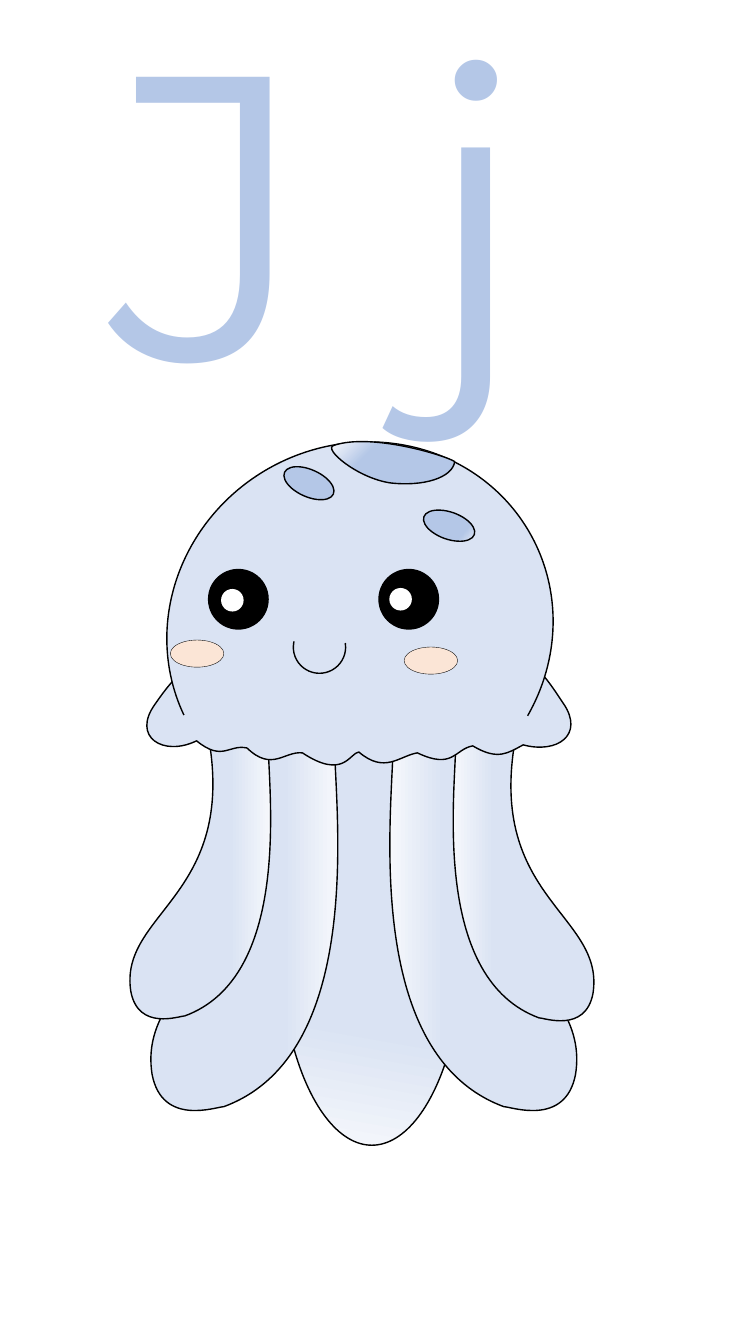
from pptx import Presentation
from pptx.dml.color import RGBColor
from pptx.enum import shapes, text
from pptx.oxml import ns
from pptx.util import Pt

COLORS = {
    "letters": "B4C7E7",
    "spot": "B4C7E7",
    "body": "DAE3F3",
    "shine": "F6F8FC",
    "cheek": "FBE5D6",
    "ink": "000000",
    "glint": "FFFFFF",
}
OVAL = shapes.MSO_SHAPE.OVAL
ARC = shapes.MSO_SHAPE.ARC

# Outlines: a start point, then three points for each Bézier curve.
# The tentacle is in percent of its box, the others in points.
TENTACLE = [
    (43.5, 3.5),
    (43.5, 1.3), (40.3, 0), (36.6, 0),
    (36.6, 0), (8.6, 0), (8.6, 0),
    (4.8, 0), (2.2, 1.3), (2.2, 3.5),
    (1.1, 23.1), (-12.9, 85.3), (61.3, 98.9),
    (65.1, 98.9), (94.1, 104.3), (99.5, 90.3),
    (108.1, 63), (27.4, 57.1), (43.5, 3.5),
]
SKIRT = [
    (157, 0.7),
    (53.3, 2), (23, 40), (5.8, 65),
    (-11.5, 88.6), (11.5, 103), (35.3, 91.4),
    (54, 106.6), (58.3, 93.6), (71.3, 96.5),
    (89.3, 113.8), (97.9, 98.6), (110.9, 100),
    (140.4, 119.5), (144.7, 100), (151.2, 99.4),
    (169.9, 115.2), (180, 102.2), (193, 100),
    (218.9, 112.3), (219.6, 97.2), (232.6, 95),
    (250.6, 105.8), (257.8, 100), (268.6, 94.3),
    (293, 100.8), (312.5, 87.1), (297.4, 64.8),
    (282.2, 42.5), (259.9, 0), (157, 0.7),
]
CROWN_SPOT = [
    (88.6, 12.2),
    (82.1, 7.9), (28.8, -8.6), (2.2, 0.7),
    (-5.8, 2.9), (18.7, 23.8), (42.5, 27.4),
    (66.2, 30.2), (87.1, 23.8), (88.6, 12.2),
]


def rgb(name):
    return RGBColor.from_string(COLORS[name])


def place(shape, box):
    shape.left, shape.top, shape.width, shape.height = (Pt(length) for length in box)


def paint(shape, fill, line="ink", width=1, shine_angle=None):
    """Style a shape; shine_angle adds a light edge, counted anticlockwise."""
    shape.shadow.inherit = False
    if fill is None:
        shape.fill.background()
    elif shine_angle is None:
        shape.fill.solid()
        shape.fill.fore_color.rgb = rgb(fill)
    else:
        shape.fill.gradient()
        shape.fill.gradient_angle = shine_angle
        stops = shape.fill.gradient_stops
        for stop, color, position in zip(stops, ("shine", fill), (0, 0.29)):
            stop.color.rgb = rgb(color)
            stop.position = position
    if line is None:
        shape.line.fill.background()
    else:
        shape.line.color.rgb = rgb(line)
        shape.line.width = Pt(width)


def add_preset(page, kind, box, fill, rotation=0, angles=(), **style):
    shape = page.shapes.add_shape(kind, *(Pt(length) for length in box))
    shape.rotation = rotation
    for index, angle in enumerate(angles):
        shape.adjustments[index] = angle
    paint(shape, fill, **style)


def bend(outline, width, height, shift_x, shift_y):
    """Turn each three line segments of an outline into one Bézier curve."""
    outline.set("w", str(width))
    outline.set("h", str(height))
    for point in outline.iter(ns.qn("a:pt")):
        point.set("x", str(int(point.get("x")) + shift_x))
        point.set("y", str(int(point.get("y")) + shift_y))
    segments = outline.findall(ns.qn("a:lnTo"))
    for first in range(0, len(segments), 3):
        curve = segments[first]
        curve.tag = ns.qn("a:cubicBezTo")
        for segment in segments[first + 1:first + 3]:
            curve.append(segment[0])
            outline.remove(segment)


def add_outline(page, box, points, fill, **style):
    """Draw a closed chain of Bézier curves, its points set off from the box corner."""
    left, top = box[:2]
    points = [(Pt(left + x), Pt(top + y)) for x, y in points]
    builder = page.shapes.build_freeform(*points[0], scale=1.0)
    builder.add_line_segments(points[1:], close=True)
    shape = builder.convert_to_shape()
    old_left, old_top = shape.left, shape.top
    place(shape, box)
    outline = next(shape.element.iter(ns.qn("a:path")))
    bend(outline, shape.width, shape.height, old_left - shape.left, old_top - shape.top)
    paint(shape, fill, **style)


def add_letters(page, box):
    title = page.shapes.title
    place(title, box)
    frame = title.text_frame
    frame.text = "J j"
    frame.word_wrap = True
    frame.auto_size = text.MSO_AUTO_SIZE.NONE
    frame.vertical_anchor = text.MSO_ANCHOR.TOP
    para = frame.paragraphs[0]
    para.alignment = text.PP_ALIGN.LEFT
    para.font.name = "Montserrat"
    para.font.size = Pt(290)
    para.font.color.rgb = rgb("letters")


def add_tentacle(page, box, mirrored):
    width, height = box[2:]
    points = [((100 - x if mirrored else x) * width / 100, y * height / 100)
              for x, y in TENTACLE]
    add_outline(page, box, points, "body", shine_angle=180 if mirrored else 0)


def add_tentacles(page, origin):
    left, top = origin
    inner, outer = (133.9, 268.6), (100.8, 202.3)
    add_preset(page, OVAL, (left + 106.4, top + 207, 132.5, 301), "body", shine_angle=80)
    for x, y, size, mirrored in (
        (184.9, 214.9, inner, False),
        (230.3, 217, outer, False),
        (15, 214.9, inner, True),
        (0, 215.6, outer, True),
    ):
        add_tentacle(page, (left + x, top + y, *size), mirrored)


def add_head(page, origin):
    left, top = origin
    add_outline(page, (left + 12.1, top + 127.8, 303.1, 108), SKIRT, "body")
    add_preset(page, shapes.MSO_SHAPE.RECTANGLE,
               (left + 37.3, top + 123.4, 244.8, 77.8), "body", line=None)
    add_preset(page, ARC, (left + 31.6, top + 0.3, 265, 279.4), "body",
               rotation=60.1, angles=(56.46, 196.2))
    add_outline(page, (left + 143.2, top + 7.5, 88.6, 27.4), CROWN_SPOT, "spot",
                shine_angle=315)
    for x, y, rotation, shine_angle in ((208.7, 55.8, 19.4, 160), (108.6, 25.5, 24.1, None)):
        add_preset(page, OVAL, (left + x, top + y, 38.2, 19.4), "spot",
                   rotation=rotation, shine_angle=shine_angle)


def add_face(page, origin):
    left, top = origin
    add_preset(page, ARC, (left + 116.5, top + 133.5, 37.4, 37.4), None,
               rotation=211, angles=(83.98, 205))
    for eye_x, glint_x, glint_y in ((177.7, 185.6, 110.5), (56, 65.4, 111.2)):
        add_preset(page, OVAL, (left + eye_x, top + 96.8, 42.5, 42.5), "ink")
        add_preset(page, OVAL, (left + glint_x, top + glint_y, 15.1, 15.1), "glint",
                   line="glint")
    for x, y in ((195.7, 152.2), (28.7, 147.2)):
        add_preset(page, OVAL, (left + x, top + y, 38.2, 19.4), "cheek", width=0.25)


def add_jellyfish(page, origin):
    add_tentacles(page, origin)
    add_head(page, origin)
    add_face(page, origin)


def main():
    deck = Presentation()
    deck.slide_width, deck.slide_height = Pt(540), Pt(960)
    page = deck.slides.add_slide(deck.slide_layouts[5])
    add_letters(page, (71.5, -35.3, 571, 358.6))
    add_jellyfish(page, (93, 310))
    deck.save("out.pptx")


if __name__ == "__main__":
    main()
